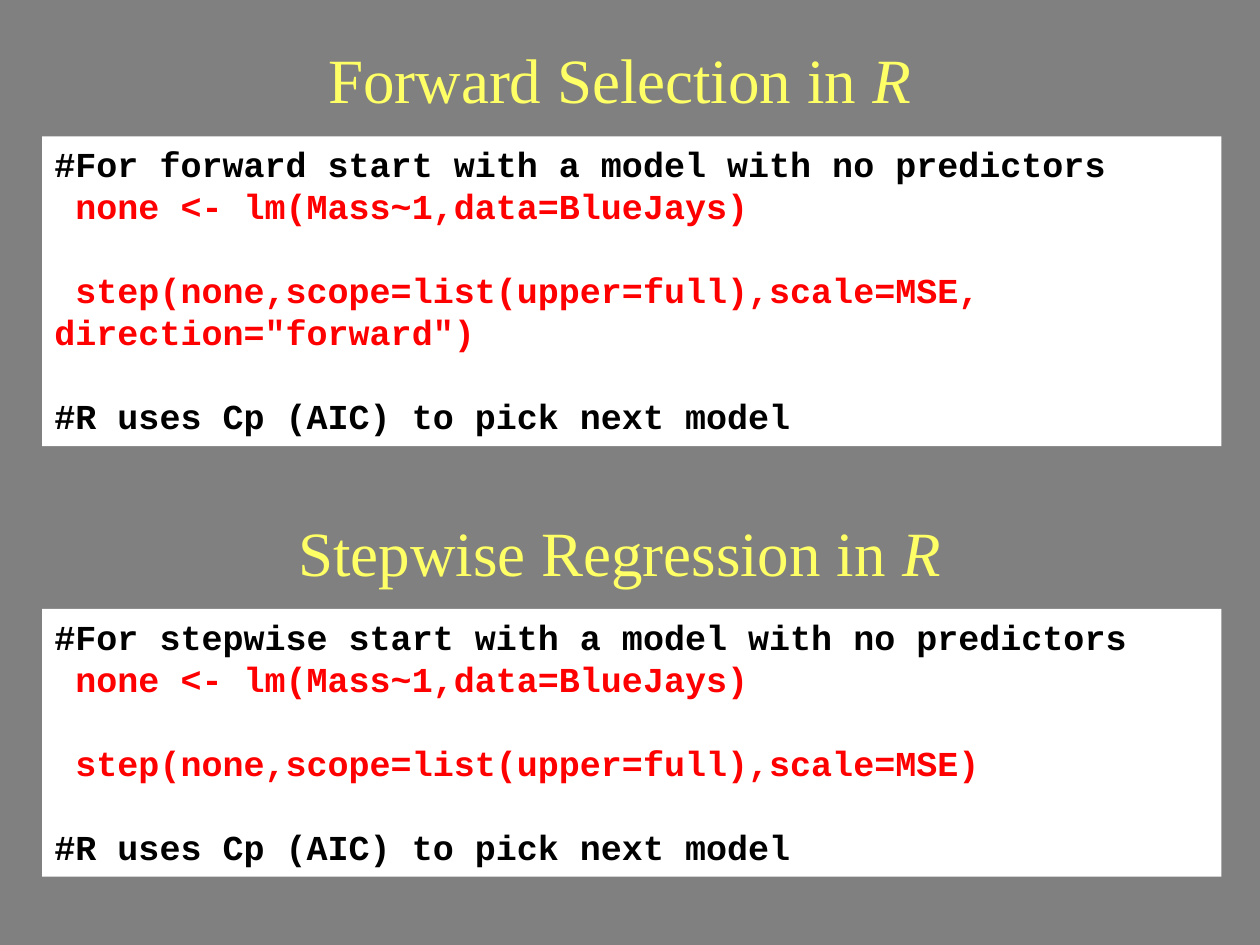
import pptx
import pptx.dml.color
import pptx.enum.shapes
import pptx.enum.text
import pptx.util

Pt = pptx.util.Pt
ALIGN = pptx.enum.text.PP_ALIGN
ANCHOR = pptx.enum.text.MSO_ANCHOR

BLACK, RED, YELLOW, WHITE, GRAY = "000000", "FF0000", "FFFF66", "FFFFFF", "808080"
HEADING_FONT = {"name": "Times New Roman", "size": Pt(36), "bold": False}
CODE_FONT = {"name": "Courier New", "size": Pt(20), "bold": True}
BLANK_LINE = 24


def paint(target, color):
    target.rgb = pptx.dml.color.RGBColor.from_string(color)


def apply(target, values):
    for name, value in values.items():
        setattr(target, name, value)


def add_span(para, text, font, color, italic=False):
    span = para.add_run()
    span.text = text
    apply(span.font, {**font, "italic": italic})
    paint(span.font.color, color)


def write_heading(box, top, text):
    apply(box, {"left": Pt(48), "top": Pt(top), "width": Pt(612), "height": Pt(54)})
    apply(box.text_frame, {
        "word_wrap": True,
        "vertical_anchor": ANCHOR.MIDDLE,
        "auto_size": pptx.enum.text.MSO_AUTO_SIZE.NONE,
    })
    para = box.text_frame.paragraphs[0]
    para.alignment = ALIGN.CENTER
    add_span(para, text, HEADING_FONT, YELLOW)
    add_span(para, "R", HEADING_FONT, YELLOW, italic=True)


def add_code_box(page, top, height, method, step_call):
    box = page.shapes.add_shape(
        pptx.enum.shapes.MSO_SHAPE.RECTANGLE, Pt(24), Pt(top), Pt(674), Pt(height))
    box.shadow.inherit = False
    box.fill.solid()
    paint(box.fill.fore_color, WHITE)
    box.line.fill.background()
    frame = box.text_frame
    apply(frame, {"word_wrap": True, "vertical_anchor": ANCHOR.TOP})
    lines = [
        (f"#For {method} start with a model with no predictors", BLACK, 0),
        (" none <- lm(Mass~1,data=BlueJays)", RED, 0),
        (f" {step_call}", RED, BLANK_LINE),
        ("#R uses Cp (AIC) to pick next model", BLACK, BLANK_LINE),
    ]
    for index, (text, color, gap) in enumerate(lines):
        para = frame.add_paragraph() if index else frame.paragraphs[0]
        apply(para, {"alignment": ALIGN.LEFT, "space_before": Pt(gap)})
        add_span(para, text, CODE_FONT, color)


def main():
    deck = pptx.Presentation()
    apply(deck, {"slide_width": Pt(720), "slide_height": Pt(540)})
    page = deck.slides.add_slide(deck.slide_layouts[5])
    page.background.fill.solid()
    paint(page.background.fill.fore_color, GRAY)

    write_heading(page.shapes.title, 18, "Forward Selection in ")
    add_code_box(page, 78, 177, "forward",
                 'step(none,scope=list(upper=full),scale=MSE, direction="forward")')

    heading = page.shapes.add_textbox(0, 0, 0, 0)
    write_heading(heading, 288, "Stepwise Regression in ")
    add_code_box(page, 348, 153, "stepwise",
                 "step(none,scope=list(upper=full),scale=MSE)")

    deck.save("out.pptx")


if __name__ == "__main__":
    main()
